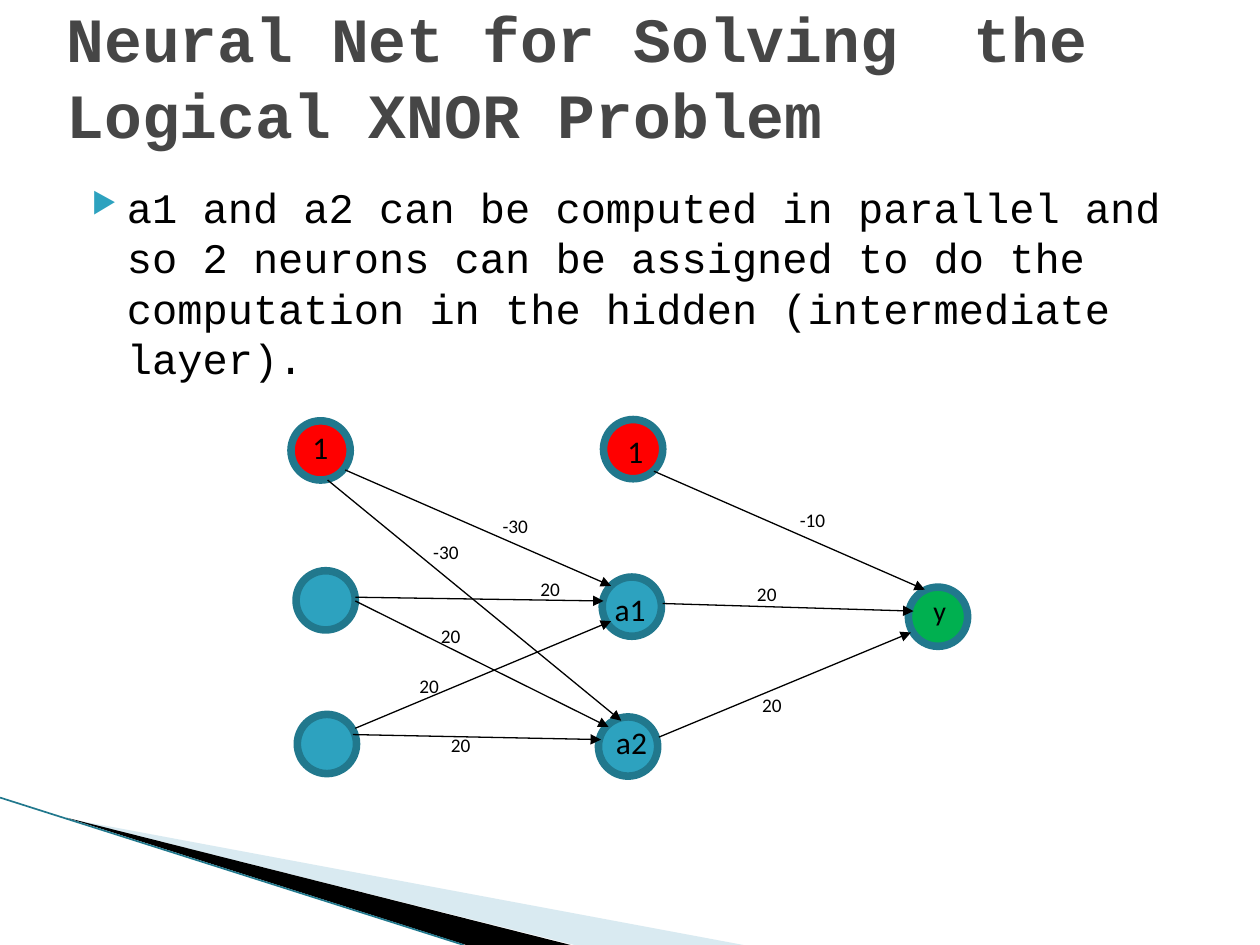
from dataclasses import dataclass

from lxml.etree import SubElement
from pptx import Presentation
from pptx.dml.color import RGBColor
from pptx.enum.shapes import MSO_CONNECTOR, MSO_SHAPE
from pptx.enum.text import MSO_ANCHOR
from pptx.oxml.ns import qn
from pptx.util import Inches, Pt


@dataclass(frozen=True)
class Theme:
    ink: str = "000000"
    gray: str = "464646"
    teal: str = "2DA2BF"
    rim: str = "21788D"
    red: str = "FF0000"
    green: str = "00B050"
    pale: str = "A0CBDC"
    edge: str = "97C5D8"
    mono: str = "Courier New"
    sans: str = "Calibri"
    title: float = 36
    body: float = 24
    node: float = 18
    out: float = 16
    weight: float = 11


@dataclass(frozen=True)
class Node:
    x: float
    y: float
    fill: str


@dataclass(frozen=True)
class Label:
    text: str
    x: float
    y: float
    size: float
    side: float


@dataclass(frozen=True)
class Link:
    x1: float
    y1: float
    x2: float
    y2: float


THEME = Theme()
SIDE = 0.47
NODES = [
    Node(2.35, 4.53, THEME.teal),
    Node(2.36, 5.67, THEME.teal),
    Node(4.75, 5.69, THEME.teal),
    Node(4.78, 4.58, THEME.teal),
    Node(2.31, 3.34, THEME.red),
    Node(4.79, 3.33, THEME.red),
    Node(7.21, 4.66, THEME.green),
]
NAMES = [
    Label("1", 4.88, 3.36, THEME.node, 0.35),
    Label("1", 2.38, 3.33, THEME.node, 0.35),
    Label("a1", 4.78, 4.61, THEME.node, SIDE),
    Label("a2", 4.79, 5.67, THEME.node, SIDE),
    Label("y", 7.31, 4.64, THEME.out, SIDE),
]
LINKS = [
    Link(2.74, 3.73, 4.85, 4.65),
    Link(2.82, 4.77, 4.83, 5.77),
    Link(2.82, 4.74, 4.79, 4.77),
    Link(2.8, 5.83, 4.77, 5.87),
    Link(2.82, 5.78, 4.85, 4.93),
    Link(2.6, 3.81, 4.93, 5.72),
    Link(5.26, 4.79, 7.25, 4.85),
    Link(5.23, 5.85, 7.23, 5.02),
    Link(5.19, 3.74, 7.34, 4.68),
]
WEIGHTS = [
    Label(text, x, y, THEME.weight, 0.43)
    for text, x, y in [
        ("-30", 3.89, 4.02), ("-30", 3.34, 4.23), ("20", 4.19, 4.52),
        ("20", 3.48, 5.76), ("20", 3.4, 4.89), ("20", 3.23, 5.29),
        ("20", 5.91, 4.56), ("20", 5.95, 5.44), ("-10", 6.25, 3.97),
    ]
]


def paint(shape, color: str) -> None:
    """Give a shape a plain solid fill."""
    shape.shadow.inherit = False
    shape.fill.solid()
    shape.fill.fore_color.rgb = RGBColor.from_string(color)


def draw_wedge(slide, points: list[tuple[float, float]], color: str, alpha: int = 100) -> None:
    """Draw a filled corner wedge."""
    first, *rest = [(Inches(x), Inches(y)) for x, y in points]
    path = slide.shapes.build_freeform(*first)
    path.add_line_segments(rest, close=True)
    shape = path.convert_to_shape()
    paint(shape, color)
    shape.line.fill.background()
    if alpha < 100:
        tint = shape.fill._xPr.find(".//" + qn("a:srgbClr"))
        SubElement(tint, qn("a:alpha"), val=str(alpha * 1000))


def draw_link(slide, link: Link, color: str, width: float, arrow: bool = True) -> None:
    """Draw a straight line, with an arrowhead if asked."""
    ends = [Inches(v) for v in (link.x1, link.y1, link.x2, link.y2)]
    line = slide.shapes.add_connector(MSO_CONNECTOR.STRAIGHT, *ends)
    line.line.color.rgb = RGBColor.from_string(color)
    line.line.width = Pt(width)
    if arrow:
        SubElement(line.line._get_or_add_ln(), qn("a:tailEnd"), type="triangle")
    SubElement(line._element.spPr, qn("a:effectLst"))


def draw_node(slide, node: Node) -> None:
    """Draw one neuron."""
    shape = slide.shapes.add_shape(
        MSO_SHAPE.OVAL, Inches(node.x), Inches(node.y), Inches(SIDE), Inches(SIDE))
    paint(shape, node.fill)
    shape.line.color.rgb = RGBColor.from_string(THEME.rim)
    shape.line.width = Pt(4.33)


def draw_text(slide, text: str, box: tuple[float, ...], face: str, size: float, color: str):
    """Add a wrapped text box and return its frame and paragraph."""
    frame = slide.shapes.add_textbox(*[Inches(v) for v in box]).text_frame
    frame.word_wrap = True
    para = frame.paragraphs[0]
    para.text = text
    para.font.name = face
    para.font.size = Pt(size)
    para.font.color.rgb = RGBColor.from_string(color)
    return frame, para


def draw_label(slide, label: Label) -> None:
    """Write a node name or a link weight."""
    box = (label.x, label.y, label.side, label.side)
    _, para = draw_text(slide, label.text, box, THEME.sans, label.size, THEME.ink)
    para.line_spacing = 1.07
    para.space_after = Pt(8)


def add_bullet(para) -> None:
    """Give a paragraph a hanging triangle bullet."""
    para.space_before = Pt(4)
    props = para._p.get_or_add_pPr()
    props.set("marL", str(Inches(0.4)))
    props.set("indent", str(Inches(-0.28)))
    SubElement(SubElement(props, qn("a:buClr")), qn("a:srgbClr"), val=THEME.teal)
    SubElement(props, qn("a:buSzPct"), val="68000")
    SubElement(props, qn("a:buChar"), char="▶")
    props.append(props.find(qn("a:defRPr")))


def main() -> None:
    """Build the slide and save it."""
    deck = Presentation()
    deck.slide_width, deck.slide_height = Inches(10), Inches(7.5)
    slide = deck.slides.add_slide(deck.slide_layouts[6])

    draw_wedge(slide, [(0.55, 6.5), (5.9, 7.5), (4.56, 7.5)], THEME.pale, 40)
    draw_wedge(slide, [(0.53, 6.49), (4.53, 7.5), (3.7, 7.5)], THEME.ink)
    draw_link(slide, Link(0, 6.33, 3.68, 7.5), THEME.rim, 0.95, arrow=False)

    _, para = draw_text(
        slide,
        "a1 and a2 can be computed in parallel and so 2 neurons can be assigned "
        "to do the computation in the hidden (intermediate layer).",
        (0.51, 1.39, 9.37, 6.11), THEME.mono, THEME.body, THEME.ink)
    add_bullet(para)
    frame, para = draw_text(
        slide, "Neural Net for Solving  the Logical XNOR Problem",
        (0.43, 0.13, 8.74, 0.94), THEME.mono, THEME.title, THEME.gray)
    frame.vertical_anchor = MSO_ANCHOR.MIDDLE
    para.font.bold = True

    for node in NODES:
        draw_node(slide, node)
    for link in LINKS:
        draw_link(slide, link, THEME.ink, 0.75)
    for label in NAMES + WEIGHTS:
        draw_label(slide, label)
    deck.save("out.pptx")


if __name__ == "__main__":
    main()
